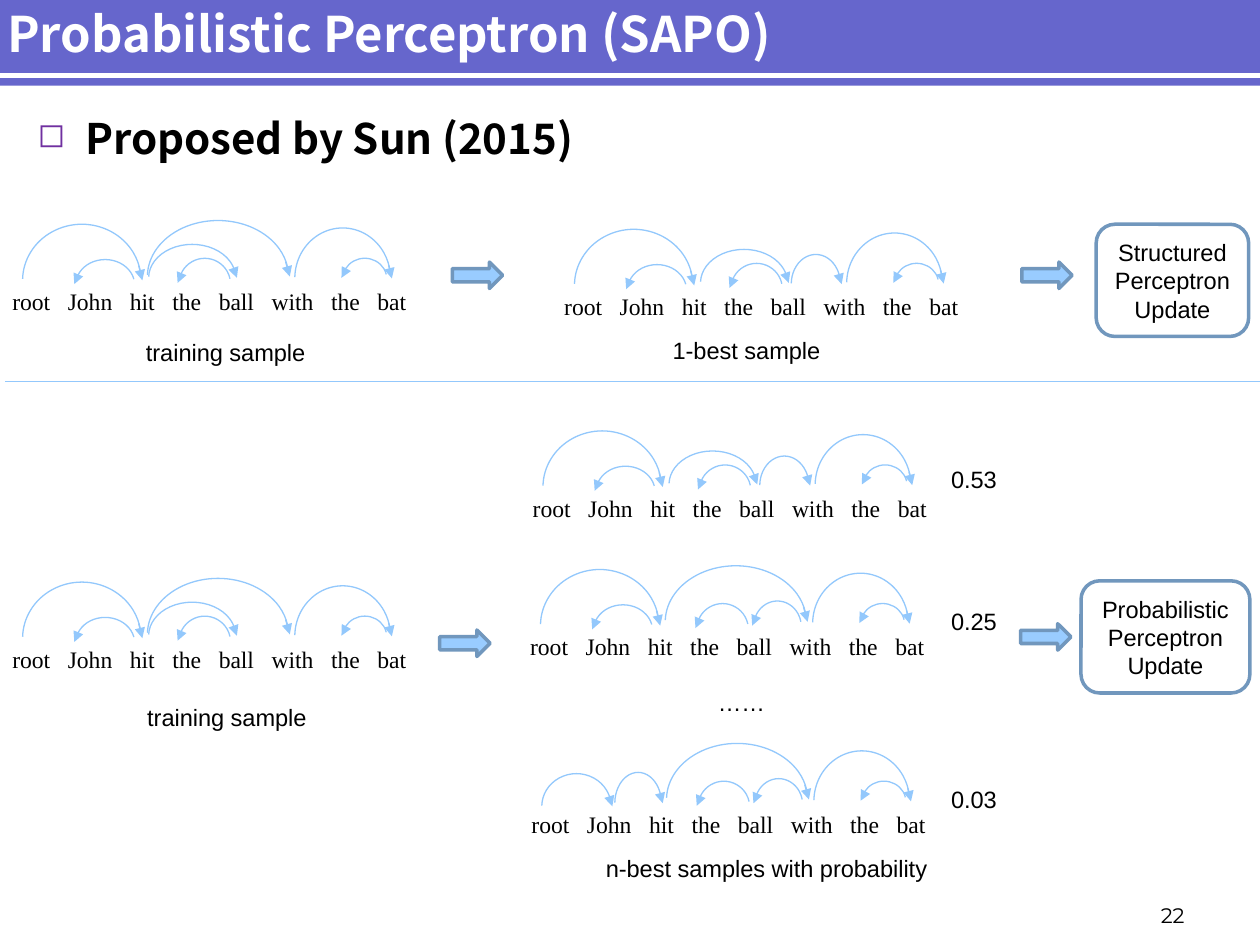
from lxml.etree import SubElement
from pptx import Presentation
from pptx.dml.color import RGBColor
from pptx.enum.shapes import MSO_CONNECTOR as Connector, MSO_SHAPE as Shape
from pptx.enum.text import MSO_ANCHOR as Anchor, PP_ALIGN as Align
from pptx.oxml.ns import qn
from pptx.util import Inches, Pt

COLORS = {
    "band": "6666CC", "white": "FFFFFF", "black": "000000", "bullet": "7030A0",
    "arc": "93C8FC", "arrow": "99CCFF", "border": "7197BD",
}
HEADING_FONT = "Noto Sans CJK SC"
SENTENCE = "root   John   hit   the   ball   with   the   bat"
FORWARD_ANGLES = (108.833, 211.393)
BACKWARD_ANGLES = (120.166, 208.749)

FORWARD_ARCS = {
    "root-hit": (0.18, -0.45, 0.94, 0.89),
    "root-John": (0.18, -0.24, 0.55, 0.52),
    "John-hit": (0.76, -0.25, 0.37, 0.49),
    "hit-ball": (1.18, -0.29, 0.69, 0.53),
    "hit-with": (1.17, -0.48, 1.12, 0.89),
    "ball-with": (1.9, -0.25, 0.39, 0.47),
    "with-bat": (2.34, -0.42, 0.76, 0.8),
}
BACKWARD_ARCS = {
    "hit-John": (0.6, -0.17, 0.47, 0.41),
    "ball-the": (1.42, -0.18, 0.41, 0.41),
    "with-ball": (1.87, -0.2, 0.38, 0.41),
    "bat-the": (2.72, -0.18, 0.35, 0.33),
}
INNER_ARCS = ["ball-the", "bat-the", "with-bat"]
TRAINING_PARSE = ["root-hit", "hit-ball", "hit-with", "hit-John"] + INNER_ARCS
BEST_PARSE = ["root-hit", "hit-ball", "ball-with", "hit-John"] + INNER_ARCS
SECOND_PARSE = ["root-hit", "hit-with", "with-ball", "hit-John"] + INNER_ARCS
LAST_PARSE = ["root-John", "John-hit", "hit-with", "with-ball"] + INNER_ARCS


def color(name):
    """Return the named colour."""
    return RGBColor.from_string(COLORS[name])


def write(shape, text, size=13.5, font="Arial", ink="black", bold=False,
          align=Align.LEFT, anchor=Anchor.TOP):
    """Put one styled paragraph into a shape and return the paragraph."""
    frame = shape.text_frame
    frame.word_wrap = True
    frame.vertical_anchor = anchor
    frame.text = text
    paragraph = frame.paragraphs[0]
    paragraph.alignment = align
    run_font = paragraph.runs[0].font
    run_font.size, run_font.name, run_font.bold = Pt(size), font, bold
    run_font.color.rgb = color(ink)
    return paragraph


def add_text(slide, left, top, width, height, text, **style):
    """Add a text box and return its paragraph."""
    box = slide.shapes.add_textbox(*map(Inches, (left, top, width, height)))
    return write(box, text, **style)


def add_label(slide, left, top, width, text, **style):
    """Add a one-line label."""
    add_text(slide, left, top, width, 0.33, text, **style)


def add_block(slide, kind, left, top, width, height, fill=None, line=None, weight=2):
    """Add a preset shape with optional fill and line."""
    shape = slide.shapes.add_shape(kind, *map(Inches, (left, top, width, height)))
    shape.shadow.inherit = False
    if fill:
        shape.fill.solid()
        shape.fill.fore_color.rgb = color(fill)
    else:
        shape.fill.background()
    if line:
        shape.line.color.rgb = color(line)
        shape.line.width = Pt(weight)
    else:
        shape.line.fill.background()
    return shape


def add_line(slide, start, end, ink="arc", weight=0.75, arrowhead=False):
    """Add a straight line, with an arrowhead at its end if asked."""
    line = slide.shapes.add_connector(Connector.STRAIGHT, *map(Inches, (*start, *end)))
    line.line.color.rgb = color(ink)
    line.line.width = Pt(weight)
    properties = line._element.spPr
    if arrowhead:
        SubElement(properties.find(qn("a:ln")), qn("a:tailEnd"), type="triangle")
    SubElement(properties, qn("a:effectLst"))


def add_arc(slide, left, top, name):
    """Draw one dependency arc of a sentence placed at left, top."""
    forward = name in FORWARD_ARCS
    x, y, width, height = (FORWARD_ARCS if forward else BACKWARD_ARCS)[name]
    x, y = left + x, top + y
    arc = add_block(slide, Shape.ARC, x, y, width, height, line="arc", weight=0.75)
    angles = FORWARD_ANGLES if forward else BACKWARD_ANGLES
    for index, angle in enumerate(angles):
        arc.adjustments[index] = angle
    middle, right = y + height / 2, x + width
    if forward:
        start, end = (right - 0.02 * width, middle - 0.13 * height), (right + 0.01, middle)
    else:
        start, end = (x + 0.02, middle - 0.2 * height), (x - 0.01, middle - 0.01)
    add_line(slide, start, end, arrowhead=True)


def add_parse(slide, left, top, arcs):
    """Add the sentence with its dependency arcs."""
    add_label(slide, left, top, 3.4, SENTENCE, font="Times New Roman")
    for name in arcs:
        add_arc(slide, left, top, name)


def add_arrow(slide, left, top):
    """Add a block arrow between two stages."""
    add_block(slide, Shape.RIGHT_ARROW, left, top, 0.4, 0.21, "arrow", "border")


def add_update(slide, left, top, width, text):
    """Add the rounded box of an update step."""
    box = add_block(slide, Shape.ROUNDED_RECTANGLE, left, top, width, 0.89, "white", "border")
    write(box, text, align=Align.CENTER, anchor=Anchor.MIDDLE)


def add_header(slide, left, top):
    """Add the title band and the heading bullet."""
    add_block(slide, Shape.RECTANGLE, left, top, 10.04, 0.71, "band")
    add_line(slide, (left, top + 0.63), (left + 10.04, top + 0.63), "white", 3)
    add_text(slide, left, top + 0.08, 8.77, 0.43, "Probabilistic Perceptron (SAPO)",
             size=28, font=HEADING_FONT, ink="white", bold=True, anchor=Anchor.MIDDLE)
    heading = add_text(slide, left + 0.24, top + 0.87, 9.45, 0.6, "Proposed by Sun (2015)",
                       size=24, font=HEADING_FONT, bold=True)
    properties = heading._p.get_or_add_pPr()
    properties.set("marL", str(Inches(0.38)))
    properties.set("indent", str(-Inches(0.38)))
    bullet_color = SubElement(properties, qn("a:buClr"))
    SubElement(bullet_color, qn("a:srgbClr"), val=COLORS["bullet"])
    SubElement(properties, qn("a:buSzPct"), val="80000")
    SubElement(properties, qn("a:buChar"), char="◻")


def add_structured(slide, left, top):
    """Add the row of the structured perceptron."""
    add_parse(slide, left, top + 0.48, TRAINING_PARSE)
    add_label(slide, left + 1.06, top + 0.88, 1.9, "training sample")
    add_arrow(slide, left + 3.59, top + 0.33)
    add_parse(slide, left + 4.38, top + 0.52, BEST_PARSE)
    add_label(slide, left + 5.24, top + 0.87, 1.46, "1-best sample")
    add_arrow(slide, left + 8.11, top + 0.33)
    add_update(slide, left + 8.7, top + 0.03, 1.21, "Structured Perceptron Update")


def add_probabilistic(slide, left, top):
    """Add the region of the probabilistic perceptron."""
    add_parse(slide, left, top + 1.67, TRAINING_PARSE)
    add_label(slide, left + 1.07, top + 2.13, 1.9, "training sample")
    add_arrow(slide, left + 3.49, top + 1.6)
    samples = [
        (4.13, 0.47, BEST_PARSE, "0.53", 0.24),
        (4.11, 1.57, SECOND_PARSE, "0.25", 1.37),
        (4.12, 2.98, LAST_PARSE, "0.03", 2.78),
    ]
    for x, y, arcs, probability, probability_y in samples:
        add_parse(slide, left + x, top + y, arcs)
        add_label(slide, left + 7.45, top + probability_y, 0.63, probability)
    add_label(slide, left + 5.6, top + 2.01, 0.73, "……")
    add_label(slide, left + 4.71, top + 3.33, 2.8, "n-best samples with probability")
    add_arrow(slide, left + 8.1, top + 1.55)
    add_update(slide, left + 8.58, top + 1.21, 1.34, "Probabilistic Perceptron Update")


def main():
    """Build the slide and save it."""
    presentation = Presentation()
    presentation.slide_width, presentation.slide_height = Inches(10), Inches(7.5)
    slide = presentation.slides.add_slide(presentation.slide_layouts[6])
    add_header(slide, -0.04, -0.03)
    add_structured(slide, 0, 1.75)
    add_line(slide, (0.04, 3.03), (10.04, 3.03))
    add_probabilistic(slide, 0, 3.4)
    add_text(slide, 8.62, 7.06, 0.88, 0.35, "22", size=12, font="Montserrat",
             align=Align.RIGHT, anchor=Anchor.BOTTOM)
    presentation.save("out.pptx")


if __name__ == "__main__":
    main()
